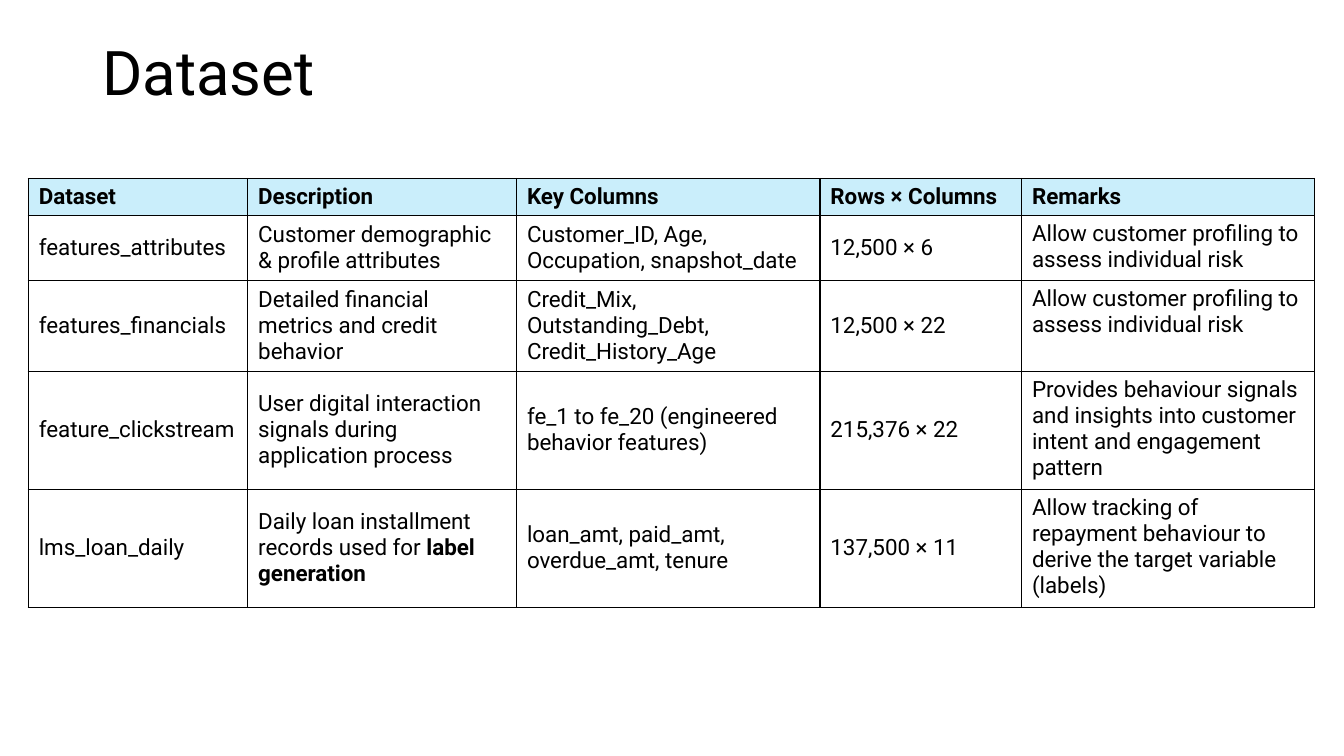
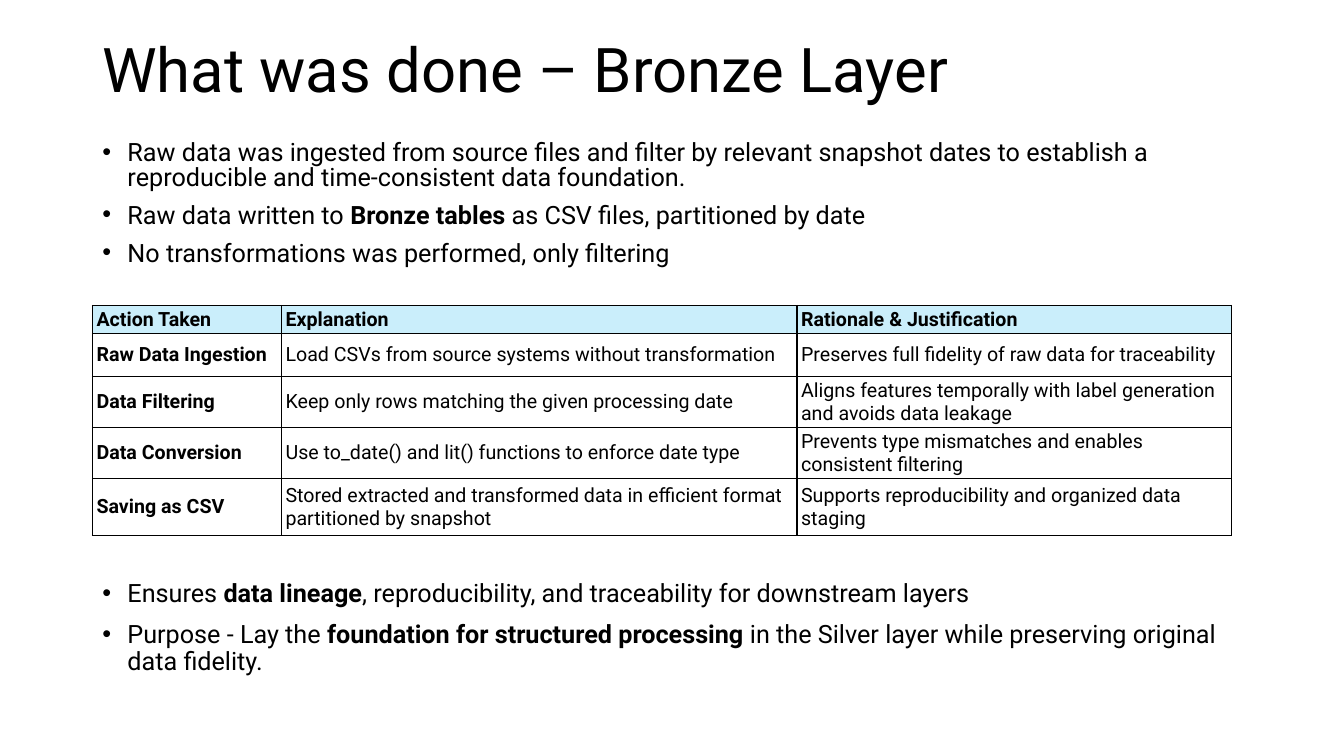
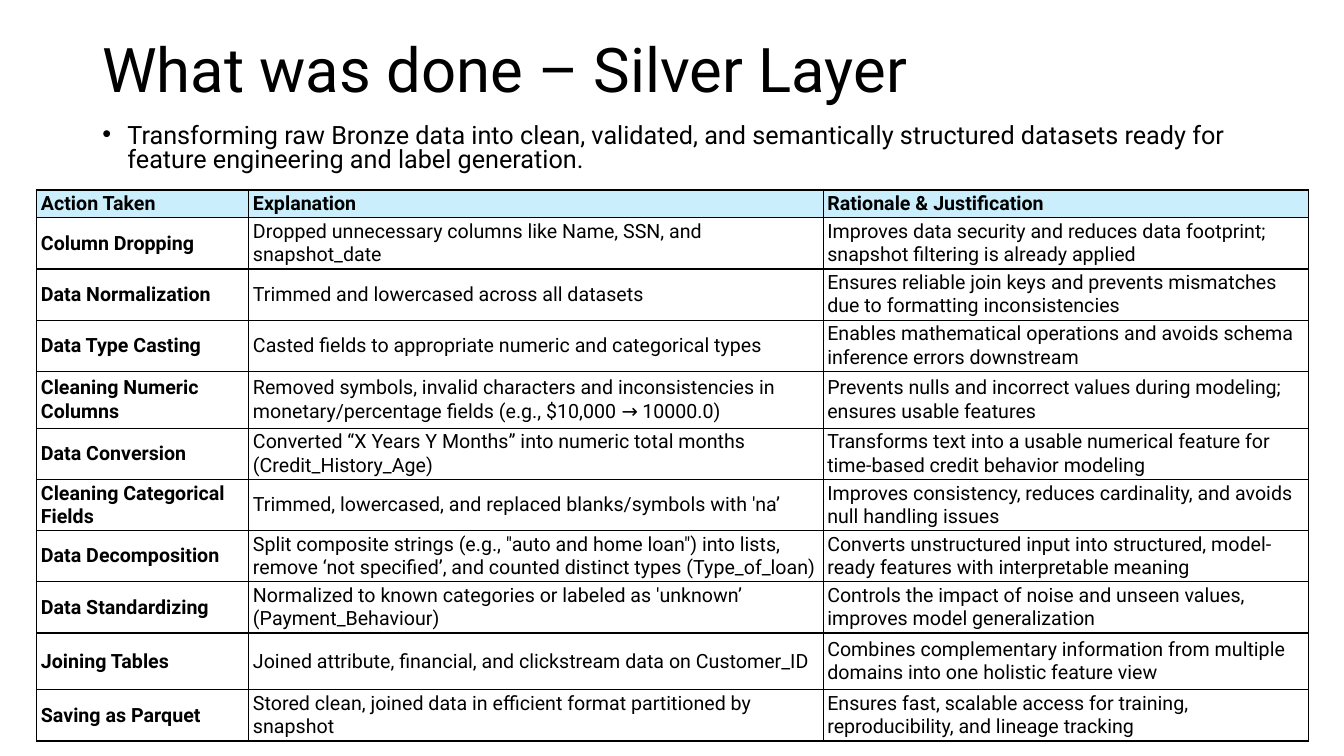
import pptx
import pptx.dml.color
import pptx.enum.text
import pptx.oxml
import pptx.oxml.ns
import pptx.util

PX = 9525
FONT = "Roboto"
INK = "000000"
HEAD = "CAEEFB"
NS = pptx.oxml.ns.nsdecls("a")
TOP = pptx.enum.text.MSO_ANCHOR.TOP
MID = pptx.enum.text.MSO_ANCHOR.MIDDLE


def tint(code):
    return pptx.dml.color.RGBColor.from_string(code)


def write(para, text, size, bold=False):
    """Fill a paragraph; words between asterisks are set in bold."""
    for i, part in enumerate(text.split("*")):
        if part:
            run = para.add_run()
            run.text = part
            run.font.name = FONT
            run.font.size = pptx.util.Pt(size)
            run.font.bold = bold or i % 2 == 1
            run.font.color.rgb = tint(INK)


heads = ["Action Taken", "Explanation", "Rationale & Justification"]
profile = "Allow customer profiling to assess individual risk"

# Lists: top, height, line spacing, points. Tables: pad is the cell inset.
pages = [
    {
        "title": "Dataset", "top": 2, "lists": [],
        "at": (27, 170), "size": 16, "pad": (10, 5),
        "lead": False, "last": TOP,
        "cols": [209, 256, 289, 192, 279],
        "rows": [34, 59, 84, 109, 109],
        "cells": [
            ["Dataset", "Description", "Key Columns", "Rows × Columns", "Remarks"],
            ["features_attributes", "Customer demographic & profile attributes",
             "Customer_ID, Age, Occupation, snapshot_date", "12,500 × 6", profile],
            ["features_financials", "Detailed financial metrics and credit behavior",
             "Credit_Mix, Outstanding_Debt, Credit_History_Age", "12,500 × 22", profile],
            ["feature_clickstream",
             "User digital interaction signals during application process",
             "fe_1 to fe_20 (engineered behavior features)", "215,376 × 22",
             "Provides behaviour signals and insights into customer intent "
             "and engagement pattern"],
            ["lms_loan_daily",
             "Daily loan installment records used for *label generation*",
             "loan_amt, paid_amt, overdue_amt, tenure", "137,500 × 11",
             "Allow tracking of repayment behaviour to derive the target "
             "variable (labels)"],
        ],
    },
    {
        "title": "What was done – Bronze Layer", "top": 0,
        "lists": [
            (131, 139, 0.8, [
                "Raw data was ingested from source files and filter by relevant "
                "snapshot dates to establish a reproducible and time-consistent "
                "data foundation.",
                "Raw data written to *Bronze tables* as CSV files, partitioned by date",
                "No transformations was performed, only filtering"]),
            (548, 102, 0.9, [
                "Ensures *data lineage*, reproducibility, and traceability for "
                "downstream layers",
                "Purpose - Lay the *foundation for structured processing* in the "
                "Silver layer while preserving original data fidelity."]),
        ],
        "at": (88, 291), "size": 14, "pad": (4, 2),
        "lead": True, "last": MID,
        "cols": [180, 491, 414],
        "rows": [26, 41, 48, 48, 54],
        "cells": [
            heads,
            ["Raw Data Ingestion",
             "Load CSVs from source systems without transformation",
             "Preserves full fidelity of raw data for traceability"],
            ["Data Filtering", "Keep only rows matching the given processing date",
             "Aligns features temporally with label generation and avoids data leakage"],
            ["Data Conversion",
             "Use to_date() and lit() functions to enforce date type",
             "Prevents type mismatches and enables consistent filtering"],
            ["Saving as CSV",
             "Stored extracted and transformed data in efficient format "
             "partitioned by snapshot",
             "Supports reproducibility and organized data staging"],
        ],
    },
    {
        "title": "What was done – Silver Layer", "top": 0,
        "lists": [
            (114, 59, 0.8, [
                "Transforming raw Bronze data into clean, validated, and "
                "semantically structured datasets ready for feature engineering "
                "and label generation."]),
        ],
        "at": (35, 181), "size": 14, "pad": (4, 2),
        "lead": True, "last": MID,
        "cols": [202, 547, 462],
        "rows": [26, 48, 48, 48, 54, 48, 48, 48, 48, 54, 48],
        "cells": [
            heads,
            ["Column Dropping",
             "Dropped unnecessary columns like Name, SSN, and snapshot_date",
             "Improves data security and reduces data footprint; snapshot "
             "filtering is already applied"],
            ["Data Normalization", "Trimmed and lowercased across all datasets",
             "Ensures reliable join keys and prevents mismatches due to "
             "formatting inconsistencies"],
            ["Data Type Casting",
             "Casted fields to appropriate numeric and categorical types",
             "Enables mathematical operations and avoids schema inference "
             "errors downstream"],
            ["Cleaning Numeric Columns",
             "Removed symbols, invalid characters and inconsistencies in "
             "monetary/percentage fields (e.g., $10,000 → 10000.0)",
             "Prevents nulls and incorrect values during modeling; ensures "
             "usable features"],
            ["Data Conversion",
             "Converted “X Years Y Months” into numeric total months "
             "(Credit_History_Age)",
             "Transforms text into a usable numerical feature for time-based "
             "credit behavior modeling"],
            ["Cleaning Categorical Fields",
             "Trimmed, lowercased, and replaced blanks/symbols with 'na’",
             "Improves consistency, reduces cardinality, and avoids null "
             "handling issues"],
            ["Data Decomposition",
             "Split composite strings (e.g., \"auto and home loan\") into lists, "
             "remove ‘not specified’, and counted distinct types (Type_of_loan)",
             "Converts unstructured input into structured, model-ready features "
             "with interpretable meaning"],
            ["Data Standardizing",
             "Normalized to known categories or labeled as 'unknown’ "
             "(Payment_Behaviour)",
             "Controls the impact of noise and unseen values, improves model "
             "generalization"],
            ["Joining Tables",
             "Joined attribute, financial, and clickstream data on Customer_ID",
             "Combines complementary information from multiple domains into one "
             "holistic feature view"],
            ["Saving as Parquet",
             "Stored clean, joined data in efficient format partitioned by snapshot",
             "Ensures fast, scalable access for training, reproducibility, and "
             "lineage tracking"],
        ],
    },
]

deck = pptx.Presentation()
deck.slide_width = 1280 * PX
deck.slide_height = 720 * PX

for page in pages:
    slide = deck.slides.add_slide(deck.slide_layouts[6])

    # Title
    box = slide.shapes.add_textbox(88 * PX, page["top"] * PX, 1104 * PX, 139 * PX)
    frame = box.text_frame
    frame.word_wrap = True
    frame.vertical_anchor = MID
    frame.paragraphs[0].line_spacing = 0.9
    write(frame.paragraphs[0], page["title"], 44)

    # Bullet lists
    for top, high, gap, points in page["lists"]:
        box = slide.shapes.add_textbox(88 * PX, top * PX, 1104 * PX, high * PX)
        frame = box.text_frame
        frame.word_wrap = True
        for i, point in enumerate(points):
            para = frame.add_paragraph() if i else frame.paragraphs[0]
            para.line_spacing = gap
            para.space_before = pptx.util.Pt(10)
            write(para, point, 18)
            props = para._p.get_or_add_pPr()
            props.set("marL", str(24 * PX))
            props.set("indent", str(-24 * PX))
            for mark in ('buFont {} typeface="Arial"', 'buChar {} char="•"'):
                props.append(pptx.oxml.parse_xml(f"<a:{mark.format(NS)}/>"))

    # Table
    cols, rows = page["cols"], page["rows"]
    left, top = page["at"]
    table = slide.shapes.add_table(
        len(rows), len(cols), left * PX, top * PX,
        sum(cols) * PX, sum(rows) * PX).table
    table.first_row = False
    table.horz_banding = False
    for col, wide in zip(table.columns, cols):
        col.width = wide * PX
    for row, high in zip(table.rows, rows):
        row.height = high * PX

    side, edge = page["pad"]
    for r, line in enumerate(page["cells"]):
        for c, text in enumerate(line):
            cell = table.cell(r, c)
            cell.margin_left = cell.margin_right = side * PX
            cell.margin_top = cell.margin_bottom = edge * PX
            cell.vertical_anchor = page["last"] if c == len(cols) - 1 else MID
            if r == 0:
                cell.fill.solid()
                cell.fill.fore_color.rgb = tint(HEAD)
            else:
                cell.fill.background()
            write(cell.text_frame.paragraphs[0], text, page["size"],
                  r == 0 or (c == 0 and page["lead"]))
            props = cell._tc.get_or_add_tcPr()
            for i, name in enumerate(("lnL", "lnR", "lnT", "lnB")):
                props.insert(i, pptx.oxml.parse_xml(
                    f'<a:{name} {NS} w="12700"><a:solidFill>'
                    f'<a:srgbClr val="{INK}"/></a:solidFill></a:{name}>'))

deck.save("out.pptx")
